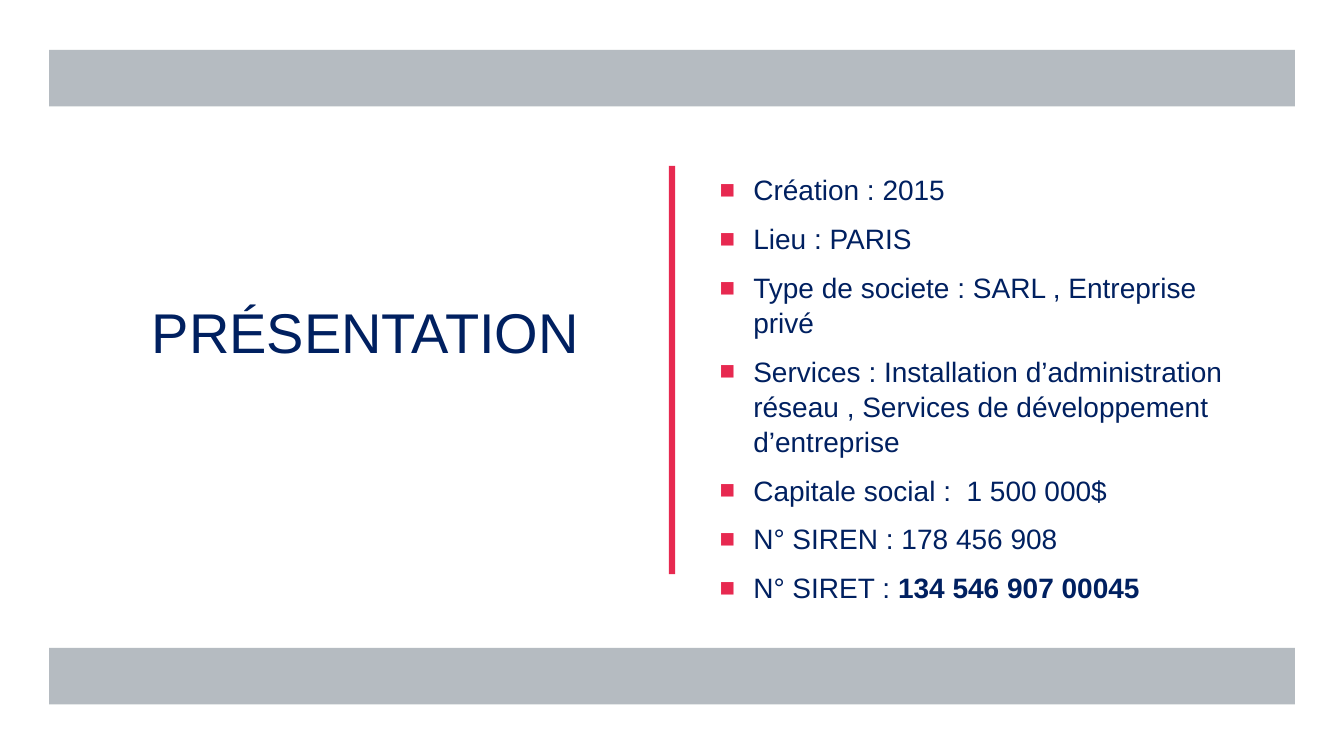
from lxml.etree import SubElement
from pptx import Presentation
from pptx.dml.color import RGBColor
from pptx.enum.shapes import MSO_SHAPE
from pptx.enum.text import MSO_ANCHOR, PP_ALIGN
from pptx.oxml.ns import qn
from pptx.util import Pt

WHITE = RGBColor(0xFF, 0xFF, 0xFF)
NAVY = RGBColor(0x00, 0x20, 0x60)
GREY = RGBColor(0x96, 0x9F, 0xA7)
RED = RGBColor(0xE7, 0x29, 0x50)

FACTS = [
    ("Création : 2015", ""),
    ("Lieu : PARIS", ""),
    ("Type de societe : SARL , Entreprise privé", ""),
    ("Services : Installation d’administration réseau , "
     "Services de développement d’entreprise", ""),
    ("Capitale social :  1 500 000$", ""),
    ("N° SIREN : 178 456 908", ""),
    ("N° SIRET : ", "134 546 907 00045"),
]


def add_text(p, text, size=20, bold=False, color=NAVY, font="Arial"):
    r = p.add_run()
    r.text = text
    r.font.name = font
    r.font.size = Pt(size)
    r.font.bold = bold
    r.font.color.rgb = color


def set_bullet(p, indent=24, char="■", color=RED, percent=92):
    """Give the paragraph a hanging square bullet."""
    pPr = p._p.get_or_add_pPr()
    pPr.set("marL", str(Pt(indent)))
    pPr.set("indent", str(-Pt(indent)))
    clr = SubElement(pPr, qn("a:buClr"))
    SubElement(clr, qn("a:srgbClr"), val=str(color))
    SubElement(pPr, qn("a:buSzPct"), val=str(percent * 1000))
    SubElement(pPr, qn("a:buFont"), typeface="Arial")
    SubElement(pPr, qn("a:buChar"), char=char)


class SlideBuilder:
    def __init__(self, s):
        self.s = s
        s.background.fill.solid()
        s.background.fill.fore_color.rgb = WHITE

    def bar(self, x, y, w, h, color, opacity=100):
        sp = self.s.shapes.add_shape(MSO_SHAPE.RECTANGLE, Pt(x), Pt(y), Pt(w), Pt(h))
        sp.shadow.inherit = False
        sp.line.fill.background()
        sp.fill.solid()
        sp.fill.fore_color.rgb = color
        if opacity < 100:
            clr = sp._element.spPr.find(qn("a:solidFill"))[0]
            SubElement(clr, qn("a:alpha"), val=str(opacity * 1000))

    def text_frame(self, x, y, w, h):
        tf = self.s.shapes.add_textbox(Pt(x), Pt(y), Pt(w), Pt(h)).text_frame
        tf.word_wrap = True
        tf.vertical_anchor = MSO_ANCHOR.TOP
        return tf

    def title(self, x, y, w, h, text):
        p = self.text_frame(x, y, w, h).paragraphs[0]
        p.alignment = PP_ALIGN.LEFT
        p.line_spacing = 0.9
        add_text(p, text, size=40)

    def bullets(self, x, y, w, h, items):
        tf = self.text_frame(x, y, w, h)
        for i, (label, strong) in enumerate(items):
            p = tf.add_paragraph() if i else tf.paragraphs[0]
            p.line_spacing = 1.04
            p.space_before = Pt(4)
            p.space_after = Pt(6)
            set_bullet(p)
            add_text(p, label)
            if strong:
                add_text(p, strong, bold=True)


def main():
    prs = Presentation()
    prs.slide_width, prs.slide_height = Pt(960), Pt(540)
    slide = SlideBuilder(prs.slides.add_slide(prs.slide_layouts[6]))
    slide.title(101.5, 214.5, 332, 248.5, "PRÉSENTATION")
    for y in (35.7, 462.8):
        slide.bar(35, y, 890, 40.3, GREY, opacity=70)
    slide.bar(477.8, 118.5, 4.4, 291.6, RED)
    slide.bullets(507, 118.8, 379.5, 307.5, FACTS)
    prs.save("out.pptx")


if __name__ == "__main__":
    main()
